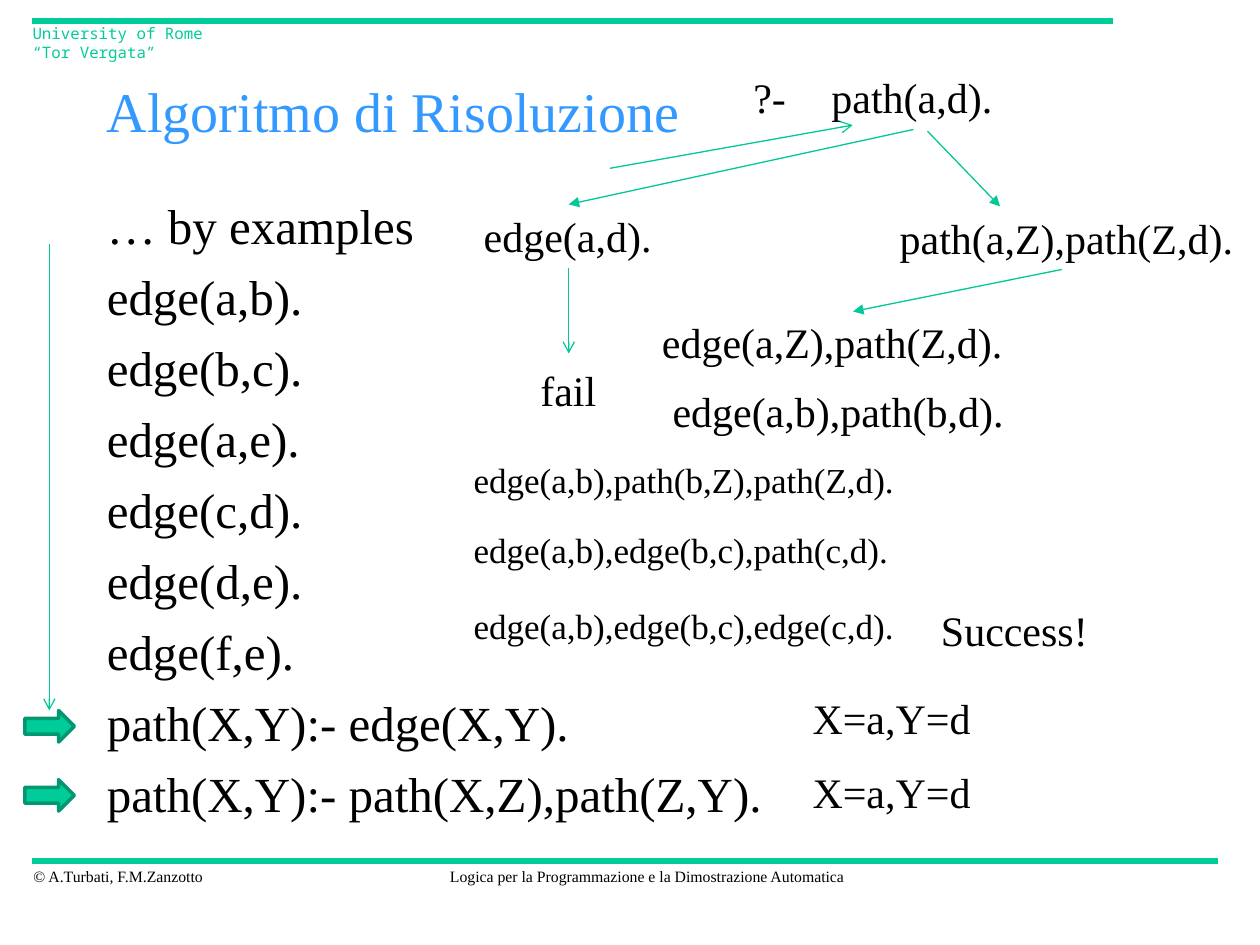
"""Build the slide on Prolog resolution, with its search tree and program clauses."""
from lxml import etree
from pptx import Presentation
from pptx import util as u
from pptx.dml import color
from pptx.enum import shapes, text
from pptx.oxml import ns

SERIF, MONO = "Times New Roman", "Noto Sans Mono"
BLACK, GREEN, BLUE = "000000", "00CC99", "3399FF"
ARROW_GREEN, DARK_GREEN = "00C896", "009771"

RULES = [(18, 492, 696, 492), (18, 12, 636, 12)]

FOOTERS = [
    ("© A.Turbati, F.M.Zanzotto", 12, 492, 114, 18, dict(size=9, wrap=False)),
    ("Logica per la Programmazione e la Dimostrazione Automatica", 248.4, 492, 242.6, 18,
     dict(size=9, wrap=False, align=text.PP_ALIGN.CENTER)),
    ("University of Rome “Tor Vergata”", 11.5, 10, 123, 18,
     dict(size=9, font=MONO, ink=GREEN)),
]

TITLE = "Algoritmo di Risoluzione"
CLAUSES = [
    "… by examples",
    "edge(a,b).",
    "edge(b,c).",
    "edge(a,e).",
    "edge(c,d).",
    "edge(d,e).",
    "edge(f,e).",
    "path(X,Y):- edge(X,Y).",
    "path(X,Y):- path(X,Z),path(Z,Y).",
]

FIT_GOALS = [
    ("path(a,d).", 468, 37.4, 107.3),
    ("?-", 423.4, 37.4, 33.1),
    ("edge(a,d).", 269.3, 116.9, 111.6),
    ("fail", 301.7, 204.5, 46.8),
    ("Success!", 530.6, 342, 99.4),
]
WIDE_GOALS = [
    ("X=a,Y=d", 457.2, 392.4, 107.3),
    ("X=a,Y=d", 457.2, 434.5, 107.3),
    ("path(a,Z),path(Z,d).", 507, 118.1, 221.8),
    ("edge(a,Z),path(Z,d).", 371.2, 177.1, 221.8),
    ("edge(a,b),path(b,d).", 377.2, 216.9, 221.8),
]
LONG_GOALS = [
    ("edge(a,b),path(b,Z),path(Z,d).", 258.4),
    ("edge(a,b),edge(b,c),path(c,d).", 298.3),
    ("edge(a,b),edge(b,c),edge(c,d).", 342),
]

ARROWS = [
    ("triangle", 522, 74, 325, 116.8),
    ("arrow", 28.2, 139.5, 28.2, 406),
    ("arrow", 325, 153, 325, 202),
    ("arrow", 348.5, 96.2, 487.3, 71.5),
    ("triangle", 530, 75, 571.5, 118),
    ("triangle", 606.8, 154, 487.5, 178),
]
POINTER_TOPS = [406, 445.5]


def rgb(value):
    return color.RGBColor.from_string(value)


def assign(target, values):
    for name, value in values.items():
        setattr(target, name, value)


def add_text(page, lines, left, top, width, height, size=24, font=SERIF, ink=BLACK,
             wrap=True, align=text.PP_ALIGN.LEFT, anchor=text.MSO_ANCHOR.TOP, gap=0):
    box = page.shapes.add_textbox(*map(u.Pt, (left, top, width, height)))
    frame = box.text_frame
    assign(frame, dict(word_wrap=wrap, vertical_anchor=anchor))
    frame.text = "\n".join(lines)
    for para in frame.paragraphs:
        assign(para, dict(alignment=align, space_before=u.Pt(gap)))
        span = para.runs[0]
        assign(span.font, dict(size=u.Pt(size), name=font))
        span.font.color.rgb = rgb(ink)


def add_line(page, ends, ink, weight, head=None):
    line = page.shapes.add_connector(shapes.MSO_CONNECTOR.STRAIGHT, *map(u.Pt, ends))
    line.line.color.rgb = rgb(ink)
    line.line.width = u.Pt(weight)
    if head:
        etree.SubElement(line.line._get_or_add_ln(), ns.qn("a:tailEnd"), type=head)
    etree.SubElement(line._element.spPr, ns.qn("a:effectLst"))


def add_pointer(page, top):
    pointer = page.shapes.add_shape(
        shapes.MSO_SHAPE.RIGHT_ARROW, *map(u.Pt, (14.2, top, 28.3, 18)))
    pointer.shadow.inherit = False
    pointer.fill.solid()
    pointer.fill.fore_color.rgb = rgb(GREEN)
    pointer.line.color.rgb = rgb(DARK_GREEN)
    pointer.line.width = u.Pt(2)


def main():
    deck = Presentation()
    assign(deck, dict(slide_width=u.Pt(720), slide_height=u.Pt(540)))
    page = deck.slides.add_slide(deck.slide_layouts[6])
    for ends in RULES:
        add_line(page, ends, GREEN, 3)
    for words, left, top, width, height, look in FOOTERS:
        add_text(page, [words], left, top, width, height, **look)
    add_text(page, [TITLE], 54, 36, 612, 54, size=32, ink=BLUE,
             anchor=text.MSO_ANCHOR.MIDDLE)
    add_text(page, CLAUSES, 54, 108, 612, 372, size=28, gap=7)
    for goals, wrap in ((FIT_GOALS, False), (WIDE_GOALS, True)):
        for words, left, top, width in goals:
            add_text(page, [words], left, top, width, 36, wrap=wrap)
    for words, top in LONG_GOALS:
        add_text(page, [words], 263.5, top, 298, 31.5, size=20)
    for head, *ends in ARROWS:
        add_line(page, ends, ARROW_GREEN, 0.75, head)
    for top in POINTER_TOPS:
        add_pointer(page, top)
    deck.save("out.pptx")


if __name__ == "__main__":
    main()
